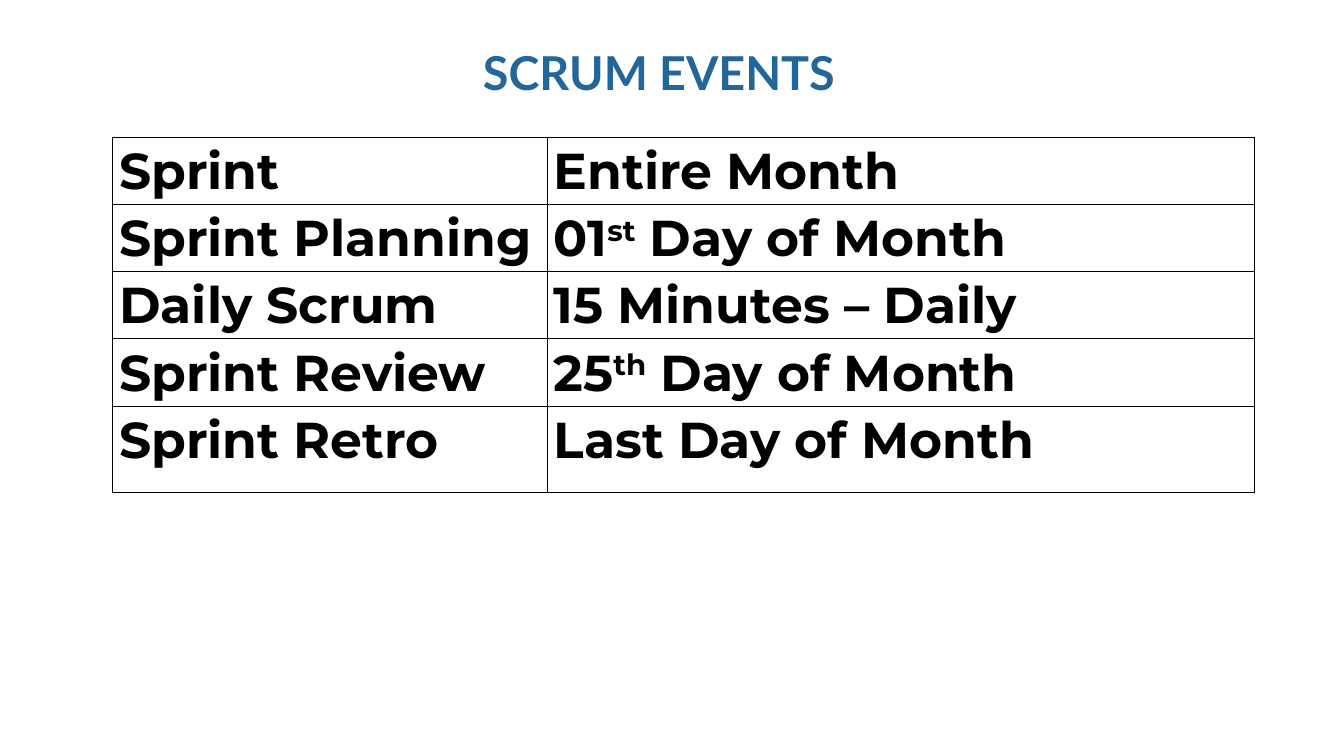
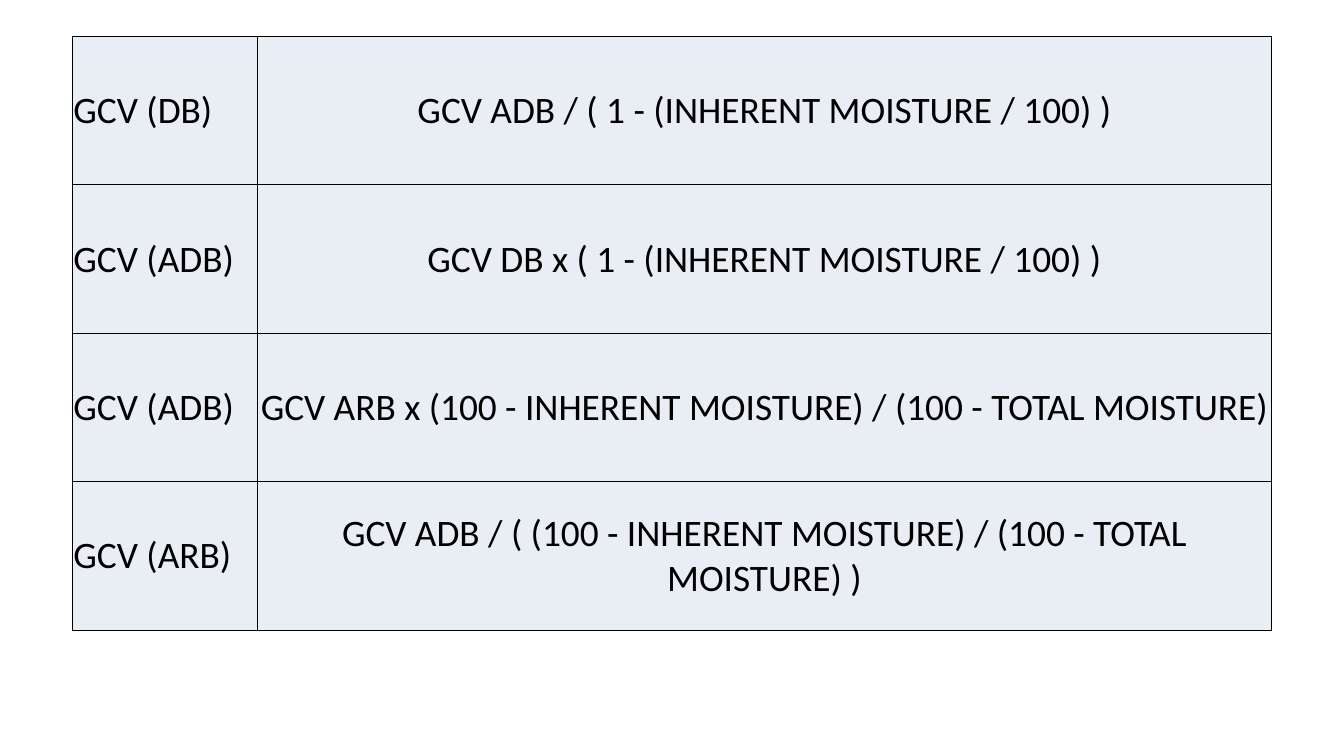
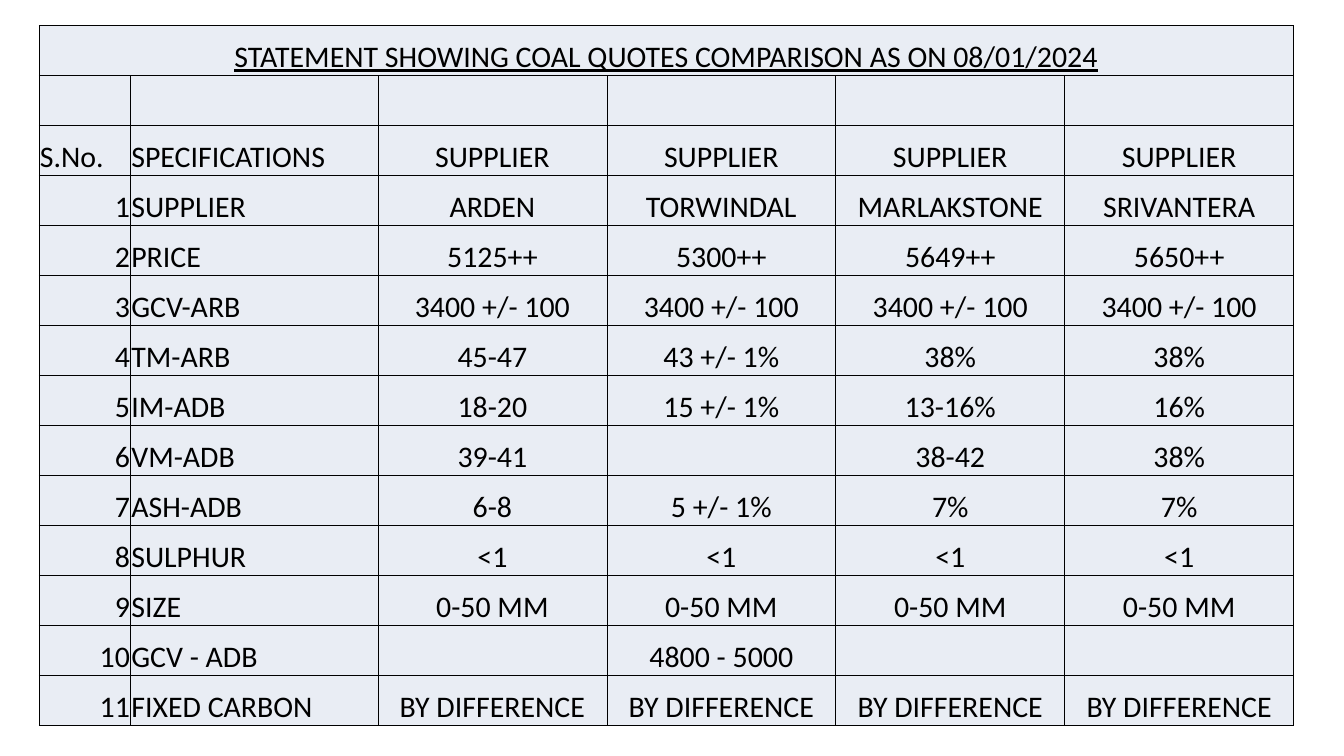
from lxml import etree
from pptx import Presentation
from pptx.dml.color import RGBColor
from pptx.enum import text as t
from pptx.oxml import ns
from pptx.util import Pt

BLACK = RGBColor(0x00, 0x00, 0x00)
WHITE = RGBColor(0xFF, 0xFF, 0xFF)
BLUE = RGBColor(0x23, 0x66, 0x99)
PALE = RGBColor(0xE9, 0xED, 0xF4)

ALIGN = {"l": t.PP_ALIGN.LEFT, "c": t.PP_ALIGN.CENTER, "r": t.PP_ALIGN.RIGHT}
TOP, MID, LOW = (t.MSO_ANCHOR.TOP, t.MSO_ANCHOR.MIDDLE, t.MSO_ANCHOR.BOTTOM)

# Cell margins: left, top, right, bottom
WIDE = (7.2, 3.6, 7.2, 3.6)
TIGHT = (0.72, 0.72, 0.72, 0)
SIDES = ("left", "top", "right", "bottom")


def style(run, look):
    for key, val in look.items():
        setattr(run.font, key, val)
    run.font.color.rgb = BLUE if look["name"] == "Lato" else BLACK


def add_grid(slide, left, top, cols, highs, rows, look, fill, pads, anchor, sides):
    """Draw a ruled table; text between ^ marks is raised."""
    grid = slide.shapes.add_table(
        len(rows), len(cols), Pt(left), Pt(top), Pt(sum(cols)), Pt(sum(highs))
    ).table
    grid.first_row = grid.horz_banding = False
    for col, wide in zip(grid.columns, cols):
        col.width = Pt(wide)
    for row, high, words in zip(grid.rows, highs, rows):
        row.height = Pt(high)
        for cell, word, side in zip(row.cells, words, sides):
            # Borders come before the fill in the cell
            props = cell._tc.get_or_add_tcPr()
            for edge in "LRTB":
                line = etree.SubElement(props, ns.qn(f"a:ln{edge}"), w=str(Pt(1)))
                paint = etree.SubElement(line, ns.qn("a:solidFill"))
                etree.SubElement(paint, ns.qn("a:srgbClr"), val=str(BLACK))
            cell.fill.solid()
            cell.fill.fore_color.rgb = fill
            if not word:
                continue
            cell.vertical_anchor = anchor
            for name, pad in zip(SIDES, pads):
                setattr(cell, f"margin_{name}", Pt(pad))
            para = cell.text_frame.paragraphs[0]
            para.alignment = ALIGN[side]
            for i, part in enumerate(word.split("^")):
                run = para.add_run()
                run.text = part
                style(run, look)
                if i % 2:
                    run._r.get_or_add_rPr().set("baseline", "30000")
    return grid


deck = Presentation()
deck.slide_width, deck.slide_height = Pt(1440), Pt(810)
titled, blank = deck.slide_layouts[5], deck.slide_layouts[6]

# Slide 1: scrum events
slide = deck.slides.add_slide(titled)
title = slide.shapes.title
title.left, title.top, title.width, title.height = Pt(517.5), Pt(47), Pt(405.5), Pt(60.5)
frame = title.text_frame
frame.text = "SCRUM EVENTS"
form = {"margin_left": 0, "margin_top": 0, "margin_right": 0, "margin_bottom": 0,
        "vertical_anchor": TOP, "word_wrap": True,
        "auto_size": t.MSO_AUTO_SIZE.SHAPE_TO_FIT_TEXT}
for key, val in form.items():
    setattr(frame, key, val)
frame.paragraphs[0].alignment = ALIGN["l"]
style(frame.paragraphs[0].runs[0], {"name": "Lato", "size": Pt(50), "bold": True})

events = [
    ("Sprint", "Entire Month"),
    ("Sprint Planning", "01^st^ Day of Month"),
    ("Daily Scrum", "15 Minutes – Daily"),
    ("Sprint Review", "25^th^ Day of Month"),
    ("Sprint Retro", "Last Day of Month"),
]
add_grid(slide, 120.5, 147, (465.5, 758.5), [68.4] * 4 + [92], events,
         {"name": "Montserrat", "size": Pt(54), "bold": True}, WHITE, WIDE, TOP, "ll")

# Slide 2: calorific value formulas
slide = deck.slides.add_slide(blank)
rules = [
    ("GCV (DB)", "GCV ADB / ( 1 - (INHERENT MOISTURE / 100) )"),
    ("GCV (ADB)", "GCV DB x ( 1 - (INHERENT MOISTURE / 100) )"),
    ("GCV (ADB)", "GCV ARB x (100 - INHERENT MOISTURE) / (100 - TOTAL MOISTURE)"),
    ("GCV (ARB)", "GCV ADB / ( (100 - INHERENT MOISTURE) / (100 - TOTAL MOISTURE) )"),
]
add_grid(slide, 78, 39, (198, 1086), [159] * 4, rules,
         {"name": "Calibri", "size": Pt(40)}, PALE, TIGHT, MID, "lc")

# Slide 3: coal quotes
slide = deck.slides.add_slide(blank)
specs = [
    ("SUPPLIER", "ARDEN", "TORWINDAL", "MARLAKSTONE", "SRIVANTERA"),
    ("PRICE", "5125++", "5300++", "5649++", "5650++"),
    ("GCV-ARB", *["3400 +/- 100"] * 4),
    ("TM-ARB", "45-47", "43 +/- 1%", "38%", "38%"),
    ("IM-ADB", "18-20", "15 +/- 1%", "13-16%", "16%"),
    ("VM-ADB", "39-41", "", "38-42", "38%"),
    ("ASH-ADB", "6-8", "5 +/- 1%", "7%", "7%"),
    ("SULPHUR", *["<1"] * 4),
    ("SIZE", *["0-50 MM"] * 4),
    ("GCV - ADB", "", "4800 - 5000", "", ""),
    ("FIXED CARBON", *["BY DIFFERENCE"] * 4),
]
quotes = [
    ("STATEMENT SHOWING COAL QUOTES COMPARISON AS ON 08/01/2024", *[""] * 5),
    [""] * 6,
    ("S.No.", "SPECIFICATIONS", *["SUPPLIER"] * 4),
    *[(str(n), *spec) for n, spec in enumerate(specs, 1)],
]
grid = add_grid(slide, 42, 27.4, (98, 265, *[245.3] * 4), [53.6] * 14, quotes,
                {"name": "Calibri", "size": Pt(32)}, PALE, TIGHT, LOW, "rlcccc")

# Heading across all columns, and the left-set number label
head = grid.cell(0, 0)
head.merge(grid.cell(0, 5))
para = head.text_frame.paragraphs[0]
para.alignment = ALIGN["c"]
para.runs[0].font.underline = True
grid.cell(2, 0).text_frame.paragraphs[0].alignment = ALIGN["l"]

deck.save("out.pptx")
